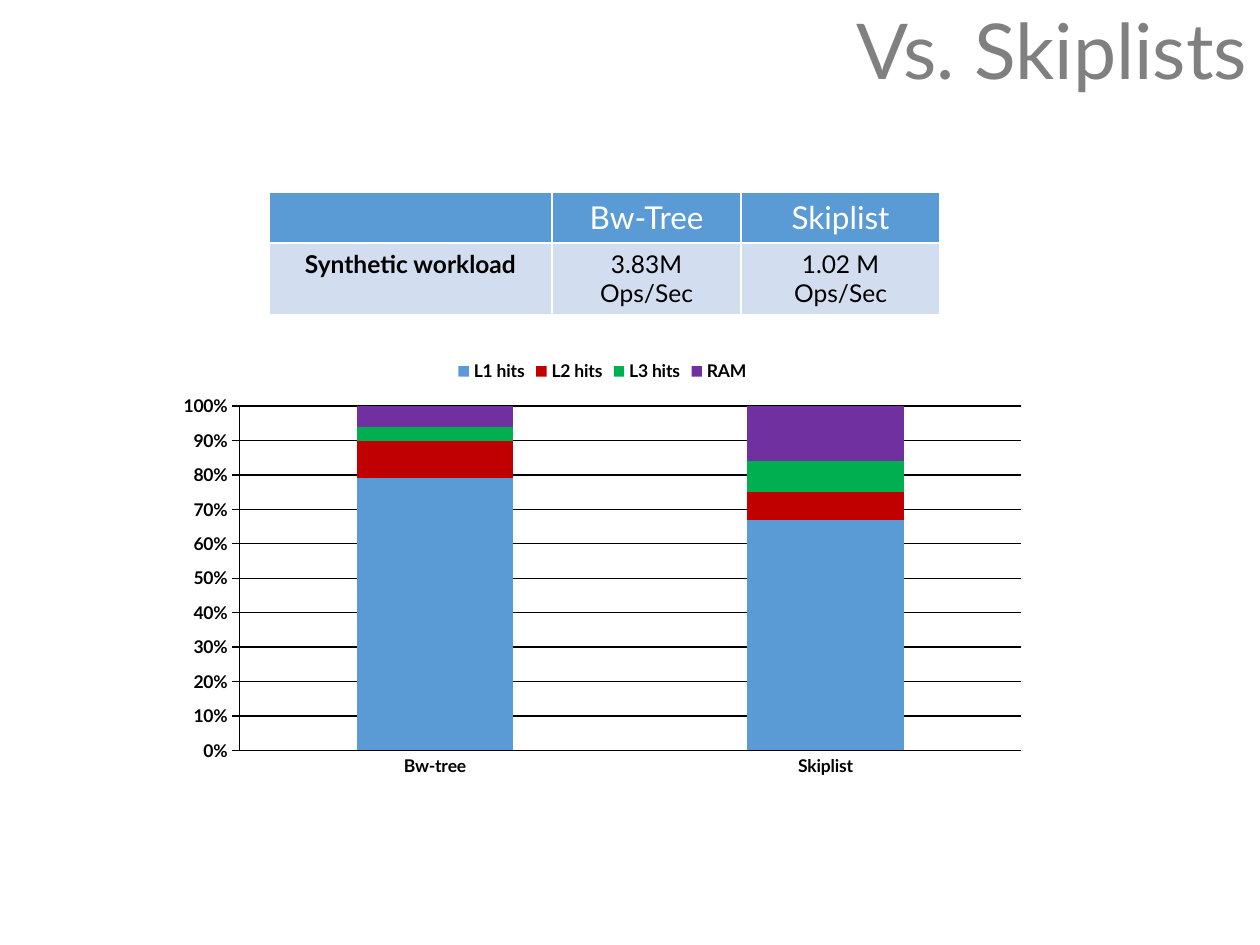
from dataclasses import dataclass

from lxml import etree
from pptx import Presentation
from pptx.chart.data import CategoryChartData
from pptx.dml.color import RGBColor
from pptx.enum.chart import XL_CHART_TYPE, XL_LEGEND_POSITION, XL_TICK_MARK
from pptx.enum.text import MSO_ANCHOR, PP_ALIGN
from pptx.oxml.ns import qn
from pptx.util import Cm, Pt

STACKED = XL_CHART_TYPE.COLUMN_STACKED_100
TOP = XL_LEGEND_POSITION.TOP
NO_TICK, OUT_TICK = XL_TICK_MARK.NONE, XL_TICK_MARK.OUTSIDE
MIDDLE = MSO_ANCHOR.MIDDLE
CENTER, RIGHT = PP_ALIGN.CENTER, PP_ALIGN.RIGHT

FONT = "Lato"
BLACK = RGBColor(0x00, 0x00, 0x00)
WHITE = RGBColor(0xFF, 0xFF, 0xFF)
GRAY = RGBColor(0x80, 0x80, 0x80)
BLUE = RGBColor(0x5B, 0x9B, 0xD5)
PALE = RGBColor(0xD2, 0xDE, 0xEF)
RED = RGBColor(0xC0, 0x00, 0x00)
GREEN = RGBColor(0x00, 0xB0, 0x50)
PURPLE = RGBColor(0x70, 0x30, 0xA0)


@dataclass
class Level:
    name: str
    hits: tuple[int, int]
    color: RGBColor


@dataclass
class Row:
    texts: tuple[str, str, str]
    size: int
    color: RGBColor
    fill: RGBColor


LEVELS = [
    Level("L1 hits", (79, 67), BLUE),
    Level("L2 hits", (11, 8), RED),
    Level("L3 hits", (4, 9), GREEN),
    Level("RAM", (6, 16), PURPLE),
]
ROWS = [
    Row(("", "Bw-Tree", "Skiplist"), 18, WHITE, BLUE),
    Row(("Synthetic workload", "3.83M Ops/Sec", "1.02 M Ops/Sec"), 14, BLACK, PALE),
]
WIDTHS = [Cm(5.71), Cm(3.81), Cm(4.01)]
HIGH = Cm(1.03)


def style(font, size: float, color: RGBColor, bold: bool = False) -> None:
    font.name, font.size, font.bold = FONT, Pt(size), bold
    font.color.rgb = color


def rule(line) -> None:
    line.color.rgb = BLACK
    line.width = Pt(0.75)


def edge(cell) -> None:
    """Put a thin white border on all four sides; call before filling."""
    props = cell._tc.get_or_add_tcPr()
    for side in ("a:lnL", "a:lnR", "a:lnT", "a:lnB"):
        line = etree.SubElement(props, qn(side), w=str(Pt(1)))
        fill = etree.SubElement(line, qn("a:solidFill"))
        etree.SubElement(fill, qn("a:srgbClr"), val=str(WHITE))


def add_title(slide, text: str) -> None:
    title = slide.shapes.title
    title.left, title.top, title.width, title.height = 0, 0, Cm(25.4), Cm(2.21)
    frame = title.text_frame
    frame.text = text
    frame.vertical_anchor = MIDDLE
    para = frame.paragraphs[0]
    para.alignment, para.line_spacing = RIGHT, 0.9
    style(para.runs[0].font, 44, GRAY)


def add_grid(slide) -> None:
    table = slide.shapes.add_table(
        len(ROWS), len(WIDTHS), Cm(5.42), Cm(3.87), sum(WIDTHS), HIGH * len(ROWS)
    ).table
    for col, width in zip(table.columns, WIDTHS):
        col.width = width
    for r, row in enumerate(ROWS):
        for c, text in enumerate(row.texts):
            cell = table.cell(r, c)
            edge(cell)
            cell.fill.solid()
            cell.fill.fore_color.rgb = row.fill
            cell.text = text
            para = cell.text_frame.paragraphs[0]
            para.alignment = CENTER
            for run in para.runs:
                style(run.font, row.size, row.color, bold=r > 0 and c == 0)


def add_bars(slide) -> None:
    data = CategoryChartData()
    data.categories = ["Bw-tree", "Skiplist"]
    for level in LEVELS:
        data.add_series(level.name, level.hits)
    chart = slide.shapes.add_chart(
        STACKED, Cm(3.35), Cm(6.99), Cm(17.58), Cm(8.84), data
    ).chart
    style(chart.font, 10, BLACK)
    chart.has_title = False
    chart.has_legend = True
    chart.legend.position = TOP
    chart.legend.include_in_layout = False
    style(chart.legend.font, 10, BLACK, bold=True)

    plot = chart.plots[0]
    plot.gap_width, plot.overlap, plot.vary_by_categories = 150, 100, False
    for series, level in zip(plot.series, LEVELS):
        series.format.fill.solid()
        series.format.fill.fore_color.rgb = level.color

    cats, vals = chart.category_axis, chart.value_axis
    for axis, tick in ((cats, NO_TICK), (vals, OUT_TICK)):
        axis.major_tick_mark, axis.minor_tick_mark = tick, NO_TICK
        rule(axis.format.line)
        style(axis.tick_labels.font, 10, BLACK, bold=True)
    vals.has_major_gridlines = True
    rule(vals.major_gridlines.format.line)
    vals.minimum_scale, vals.maximum_scale, vals.major_unit = 0, 1, 0.1
    vals.tick_labels.number_format = "0%"
    vals.tick_labels.number_format_is_linked = False


def main() -> None:
    deck = Presentation()
    deck.slide_width, deck.slide_height = Cm(25.4), Cm(19.05)
    slide = deck.slides.add_slide(deck.slide_layouts.get_by_name("Title Only"))
    add_title(slide, "Vs. Skiplists")
    add_bars(slide)
    add_grid(slide)
    deck.save("out.pptx")


if __name__ == "__main__":
    main()
